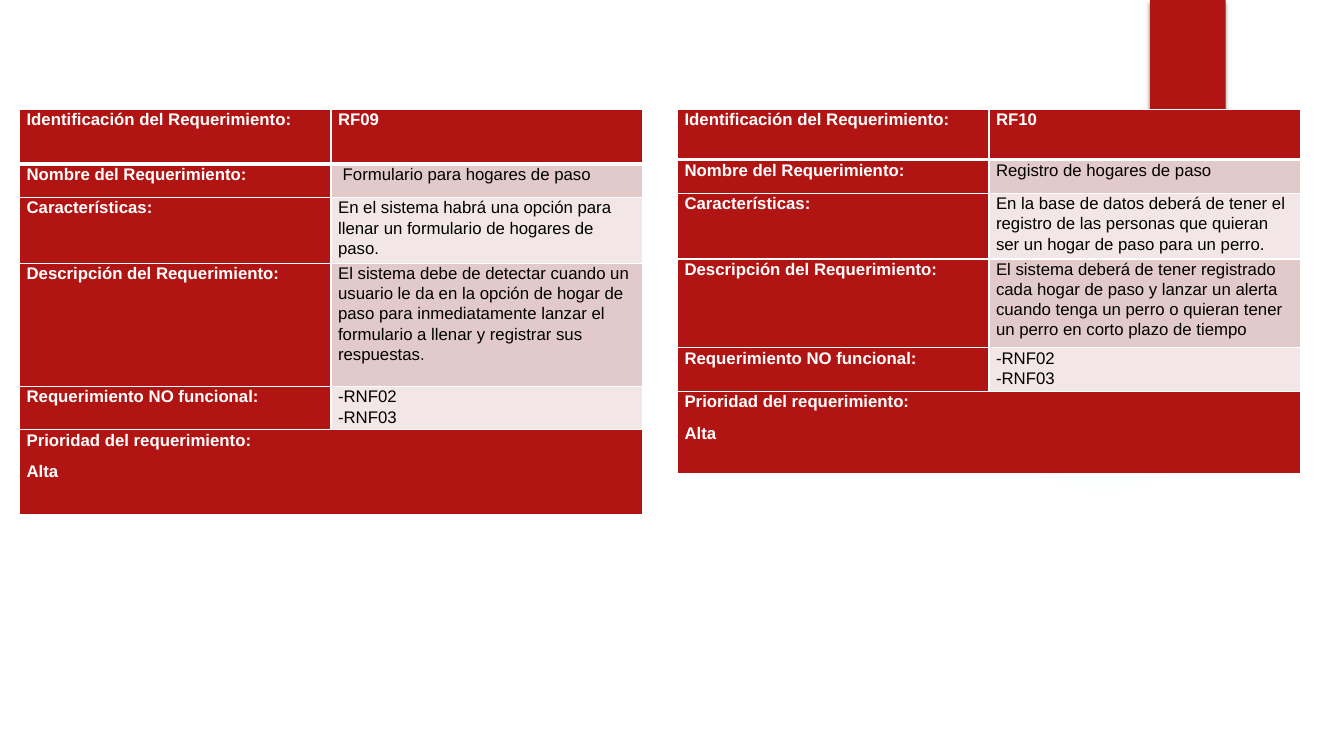
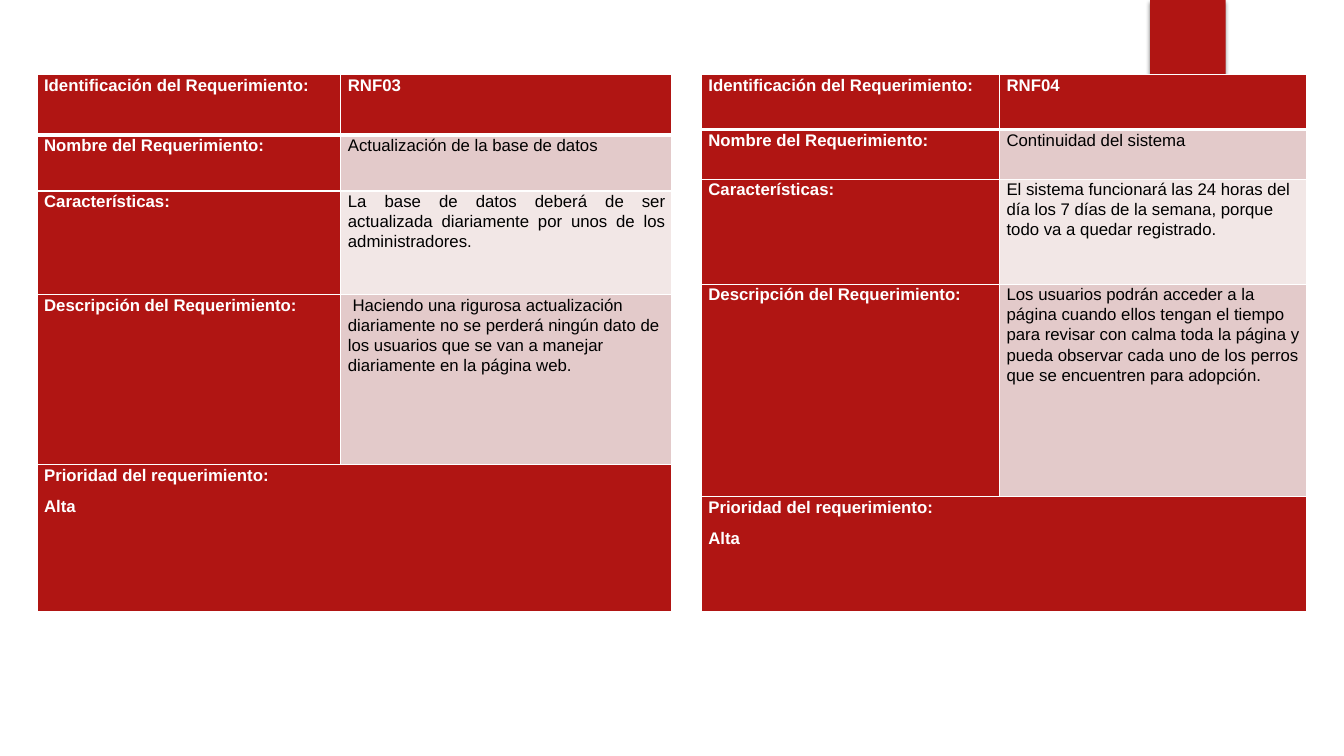
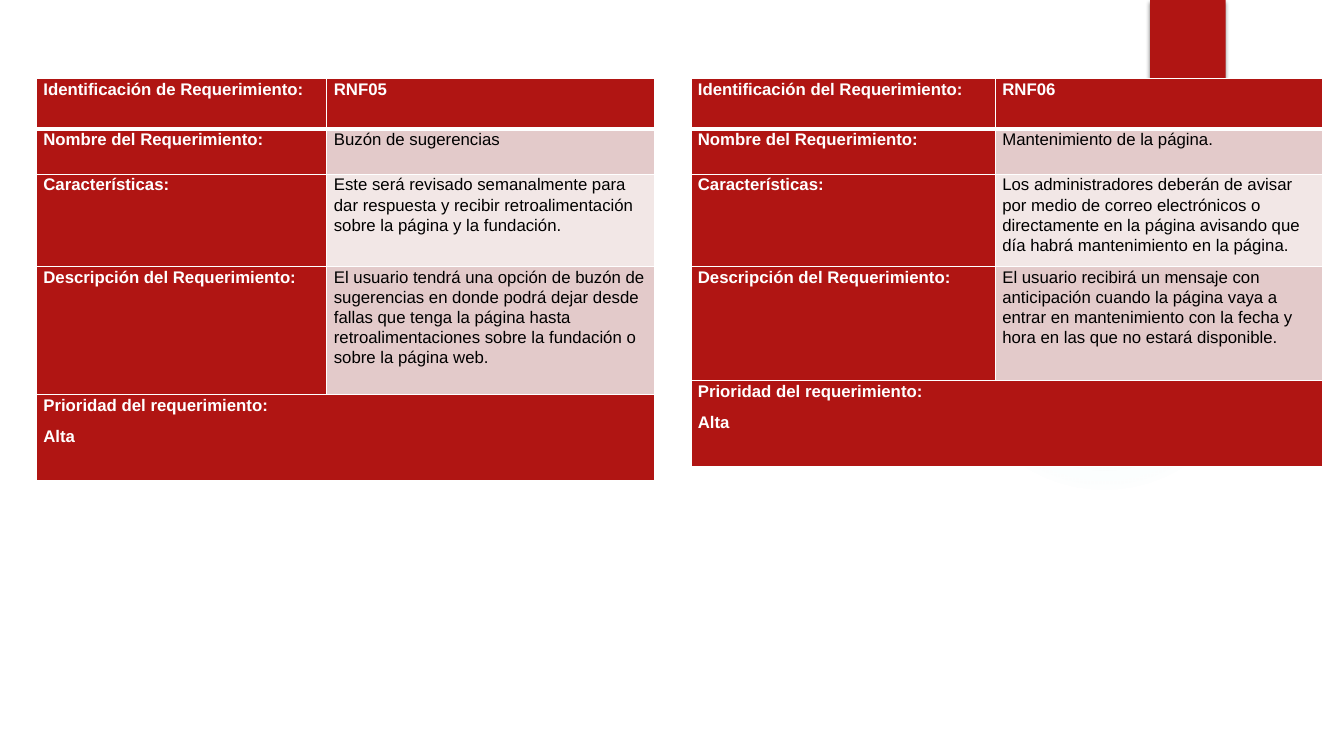
import pptx
import pptx.util
import pptx.dml.color
import pptx.enum.shapes
import pptx.enum.text
import pptx.oxml
import pptx.oxml.ns

Pt = pptx.util.Pt
RGBColor = pptx.dml.color.RGBColor
ALIGN = pptx.enum.text.PP_ALIGN
SHAPE = pptx.enum.shapes.MSO_SHAPE

RED = RGBColor(0xB0, 0x15, 0x13)
ROSE = RGBColor(0xE3, 0xCA, 0xCA)
PALE = RGBColor(0xF2, 0xE7, 0xE6)
TEAL = RGBColor(0x4C, 0xB9, 0xC3)
WHITE = RGBColor(0xFF, 0xFF, 0xFF)
BLACK = RGBColor(0, 0, 0)
FONT = "Arial"

# Content: row labels, then one entry per requirement
ID_LABEL = "Identificación del Requerimiento:"
LABELS = ["Nombre del Requerimiento:", "Características:",
          "Descripción del Requerimiento:", "Requerimiento NO funcional:"]
PRIORITY = "Prioridad del requerimiento:\nAlta"

SLIDES = [
    {"top": 78, "tables": [
        {"left": 14, "columns": (222.5, 222.5),
         "rows": (39, 24, 47, 88, 31, 61),
         "values": [
             "RF09",
             " Formulario para hogares de paso",
             "En el sistema habrá una opción para llenar un formulario de "
             "hogares de paso.",
             "El sistema debe de detectar cuando un usuario le da en la opción "
             "de hogar de paso para inmediatamente lanzar el formulario a "
             "llenar y registrar sus respuestas.",
             "-RNF02\n-RNF03"]},
        {"left": 484, "columns": (222.5, 222.5),
         "rows": (36, 24, 47, 63.5, 31, 59),
         "values": [
             "RF10",
             "Registro de hogares de paso",
             "En la base de datos deberá de tener el registro de las personas "
             "que quieran ser un hogar de paso para un perro.",
             "El sistema deberá de tener registrado cada hogar de paso y "
             "lanzar un alerta cuando tenga un perro o quieran tener un perro "
             "en corto plazo de tiempo",
             "-RNF02\n-RNF03"]},
    ]},
    {"top": 53.5, "tables": [
        {"left": 26.5, "columns": (217, 236),
         "rows": (43, 40, 74, 121.5, 105), "justified_row": 2,
         "values": [
             "RNF03",
             "Actualización de la base de datos",
             "La base de datos deberá de ser actualizada diariamente por unos "
             "de los administradores.",
             " Haciendo una rigurosa actualización diariamente no se perderá "
             "ningún dato de los usuarios que se van a manejar diariamente en "
             "la página web."]},
        {"left": 501, "columns": (213, 219.5),
         "rows": (39, 35.5, 75, 152, 82),
         "values": [
             "RNF04",
             "Continuidad del sistema",
             "El sistema funcionará las 24 horas del día los 7 días de la "
             "semana, porque todo va a quedar registrado.",
             "Los usuarios podrán acceder a la página cuando ellos tengan el "
             "tiempo para revisar con calma toda la página y pueda observar "
             "cada uno de los perros que se encuentren para adopción."]},
    ]},
    {"top": 56, "tables": [
        {"left": 26, "columns": (207.5, 234),
         "rows": (36, 32.5, 66, 91.5, 61),
         "id_label": "Identificación de Requerimiento:",
         "values": [
             "RNF05",
             "Buzón de sugerencias",
             "Este será revisado semanalmente para dar respuesta y recibir "
             "retroalimentación sobre la página y la fundación.",
             "El usuario tendrá una opción de buzón de sugerencias en donde "
             "podrá dejar desde fallas que tenga la página hasta "
             "retroalimentaciones sobre la fundación o sobre la página web."]},
        {"left": 493.5, "columns": (217.5, 233.5),
         "rows": (36, 32.5, 66, 81.5, 61),
         "values": [
             "RNF06",
             "Mantenimiento de la página.",
             "Los administradores deberán de avisar por medio de correo "
             "electrónicos o directamente en la página avisando que día habrá "
             "mantenimiento en la página.",
             "El usuario recibirá un mensaje con anticipación cuando la página "
             "vaya a entrar en mantenimiento con la fecha y hora en las que no "
             "estará disponible."]},
    ]},
]


def make_element(tag, body, attributes=""):
    namespace = pptx.oxml.ns.nsdecls("a")
    return pptx.oxml.parse_xml(
        f"<a:{tag} {namespace} {attributes}>{body}</a:{tag}>")


def write_text(frame, text, color=BLACK, bold=False, align=ALIGN.LEFT, gap=0):
    """Write one paragraph per line, with a gap between paragraphs."""
    for index, line in enumerate(text.split("\n")):
        para = frame.paragraphs[0] if index == 0 else frame.add_paragraph()
        para.alignment = align
        para.line_spacing = 1.07
        para.space_before = Pt(gap if index else 0)
        span = para.add_run()
        span.text = line
        span.font.name = FONT
        span.font.size = Pt(12)
        span.font.bold = bold
        span.font.color.rgb = color


def add_plain_shape(page, kind, left, top, width, height):
    shape = page.shapes.add_shape(kind, Pt(left), Pt(top), Pt(width), Pt(height))
    shape.line.fill.background()
    shape.shadow.inherit = False
    return shape


def add_decoration(page):
    # Faint round glow
    glow = add_plain_shape(page, SHAPE.OVAL, 677.5, 132, 222, 222)
    glow.fill.background()
    stops = "".join(
        f'<a:gs pos="{place * 1000}"><a:srgbClr val="{TEAL}">'
        f'<a:alpha val="{alpha * 1000}"/></a:srgbClr></a:gs>'
        for place, alpha in ((0, 7), (36, 6), (69, 0), (100, 0)))
    gradient = make_element(
        "gradFill", f'<a:gsLst>{stops}</a:gsLst><a:path path="circle">'
        '<a:fillToRect l="50000" t="50000" r="50000" b="50000"/></a:path>')
    properties = glow._element.spPr
    properties.replace(properties.find(pptx.oxml.ns.qn("a:noFill")), gradient)

    # Red tab with a soft shadow
    tab = add_plain_shape(page, SHAPE.RECTANGLE, 821.5, 0, 54, 90)
    tab.fill.solid()
    tab.fill.fore_color.rgb = RED
    effects = tab._element.spPr.find(pptx.oxml.ns.qn("a:effectLst"))
    effects.append(make_element(
        "outerShdw",
        '<a:srgbClr val="000000"><a:alpha val="45000"/></a:srgbClr>',
        f'blurRad="{Pt(3)}" dist="{Pt(2)}" dir="5400000" rotWithShape="0"'))


def format_cell(cell, fill, top_width=1, bottom_width=1):
    cell.margin_left, cell.margin_right = Pt(5), Pt(4)
    cell.margin_top = cell.margin_bottom = 0
    properties = cell._tc.get_or_add_tcPr()
    for side, width in (("L", 1), ("R", 1), ("T", top_width), ("B", bottom_width)):
        properties.append(make_element(
            f"ln{side}",
            f'<a:solidFill><a:srgbClr val="{WHITE}"/></a:solidFill>',
            f'w="{Pt(width)}"'))
    cell.fill.solid()
    cell.fill.fore_color.rgb = fill


def add_requirement(page, top, item):
    widths, heights, values = item["columns"], item["rows"], item["values"]
    table = page.shapes.add_table(
        len(heights), 2, Pt(item["left"]), Pt(top),
        Pt(sum(widths)), Pt(sum(heights))).table
    for column, width in zip(table.columns, widths):
        column.width = Pt(width)
    for row, height in zip(table.rows, heights):
        row.height = Pt(height)

    # Header in red, value cells in alternating tints
    labels = [item.get("id_label", ID_LABEL)] + LABELS
    for index, (label, value) in enumerate(zip(labels, values)):
        header = index == 0
        label_cell, value_cell = table.cell(index, 0), table.cell(index, 1)
        tint = RED if header else (ROSE if index % 2 else PALE)
        for cell, fill in ((label_cell, RED), (value_cell, tint)):
            format_cell(cell, fill, top_width=3 if index == 1 else 1,
                        bottom_width=3 if header else 1)
        write_text(label_cell.text_frame, label, color=WHITE, bold=True)
        justified = index == item.get("justified_row")
        write_text(value_cell.text_frame, value, bold=header,
                   color=WHITE if header else BLACK,
                   align=ALIGN.JUSTIFY if justified else ALIGN.LEFT)

    # Priority across both columns
    last = len(heights) - 1
    priority, spanned = table.cell(last, 0), table.cell(last, 1)
    priority.merge(spanned)
    for cell in (priority, spanned):
        format_cell(cell, RED)
    write_text(priority.text_frame, PRIORITY, color=WHITE, bold=True, gap=8)


def main():
    deck = pptx.Presentation()
    deck.slide_width, deck.slide_height = Pt(960), Pt(540)
    for content in SLIDES:
        page = deck.slides.add_slide(deck.slide_layouts[6])
        add_decoration(page)
        for item in content["tables"]:
            add_requirement(page, content["top"], item)
    deck.save("out.pptx")


if __name__ == "__main__":
    main()
